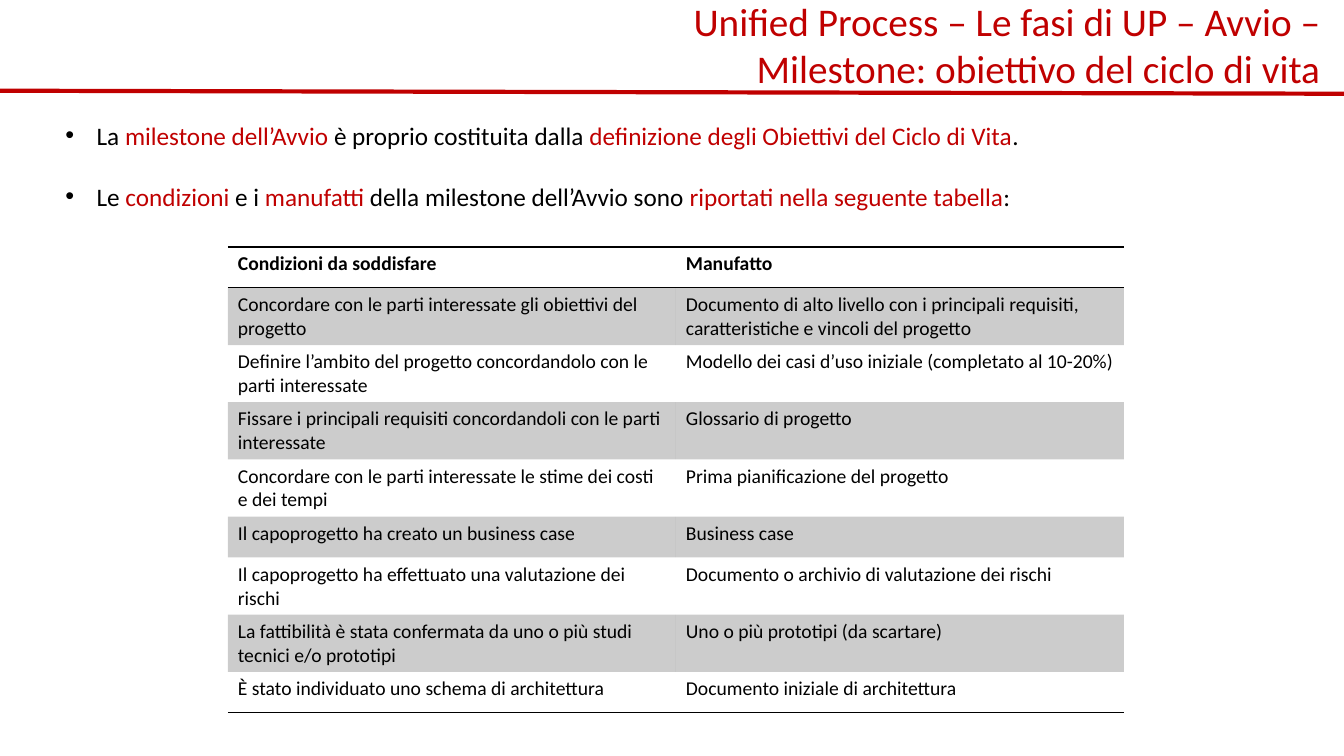
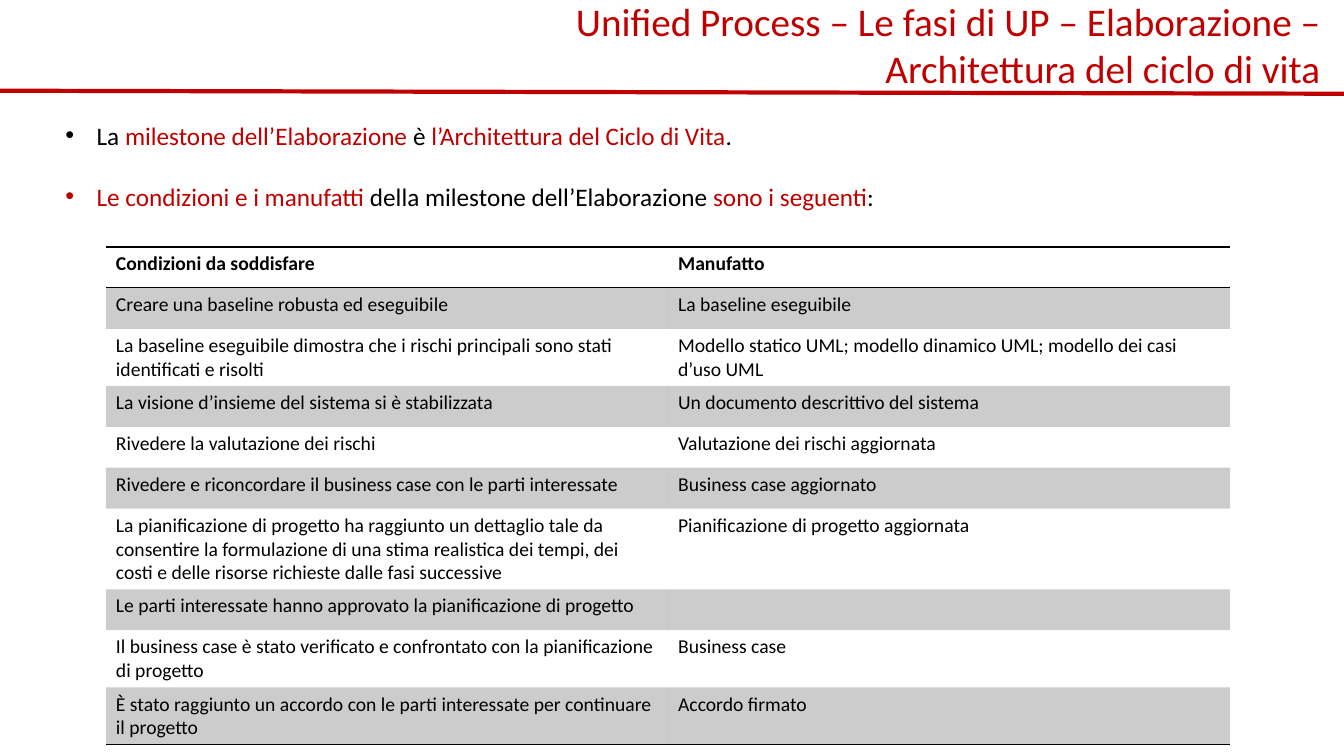
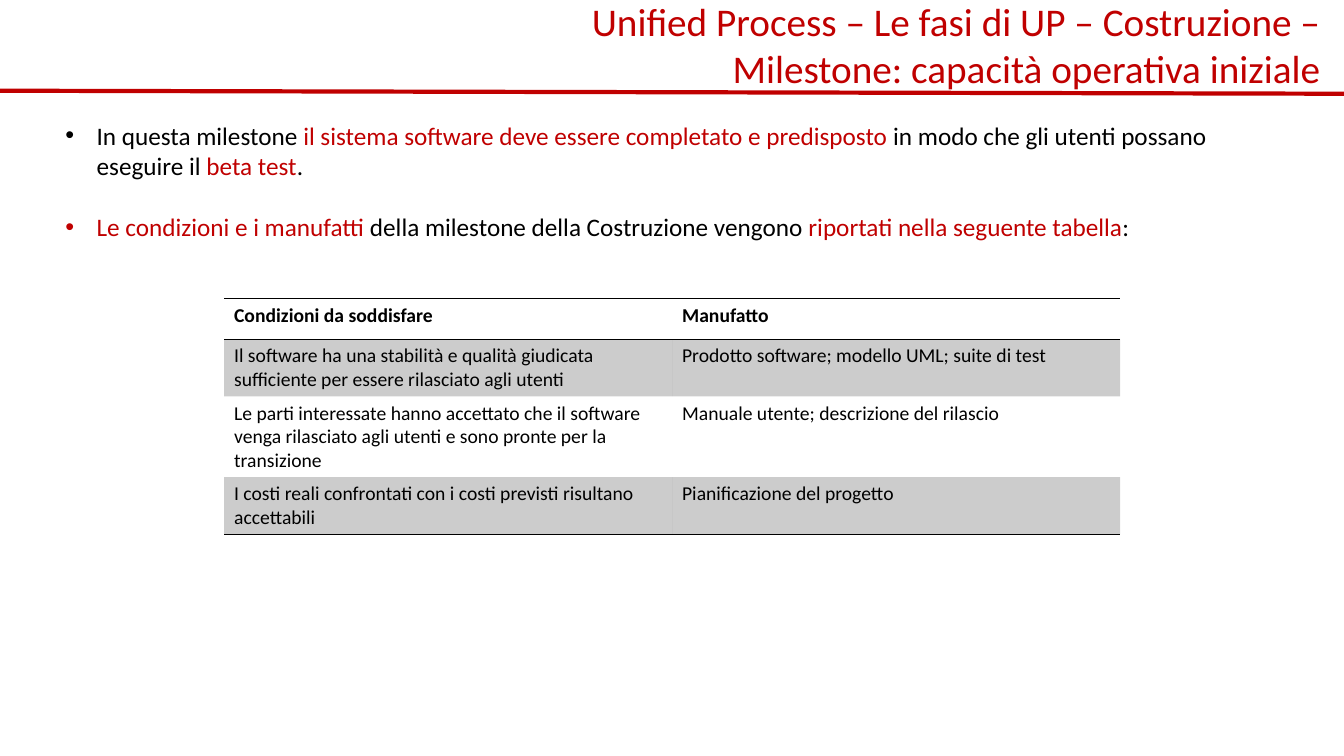
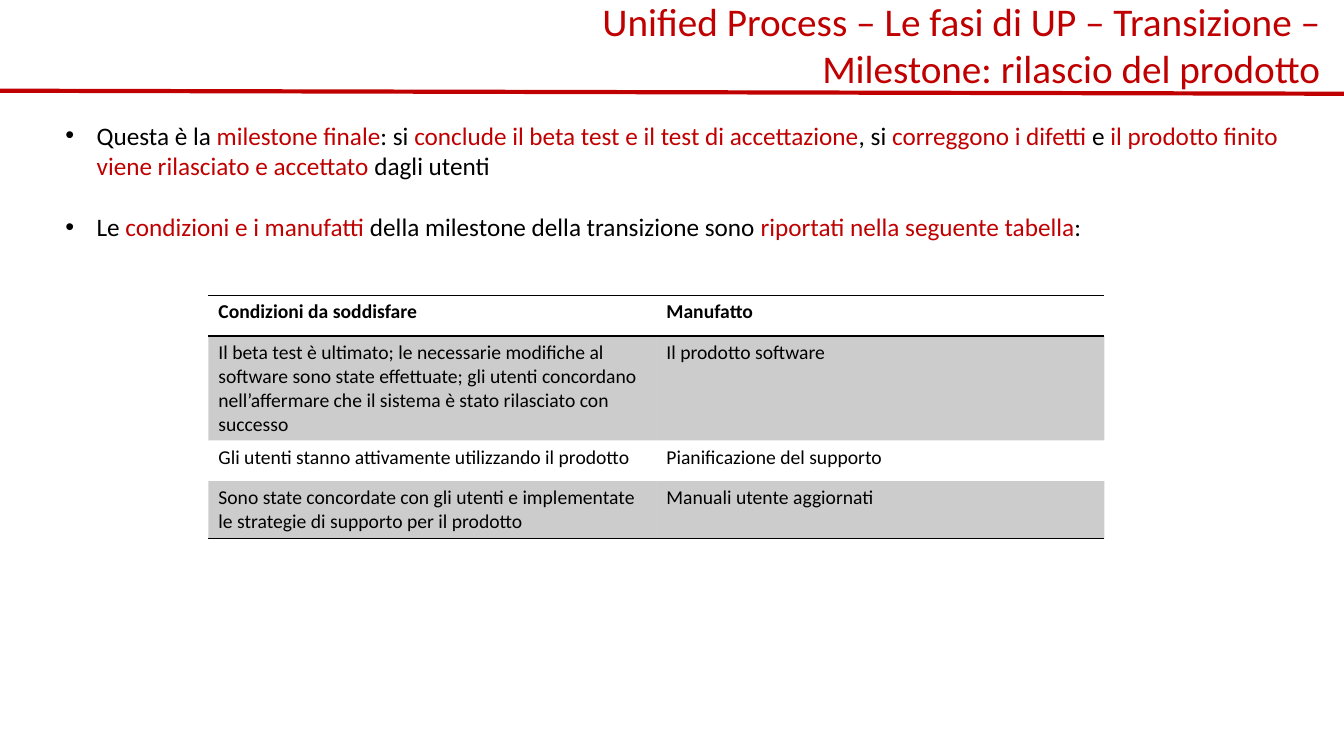
from lxml import etree
from pptx import Presentation
from pptx.dml.color import RGBColor
from pptx.enum.shapes import MSO_CONNECTOR
from pptx.enum.text import MSO_ANCHOR, PP_ALIGN
from pptx.oxml.ns import qn
from pptx.util import Inches, Pt

RED = RGBColor(0xC0, 0x00, 0x00)
BLACK = RGBColor(0x00, 0x00, 0x00)
LINE = MSO_CONNECTOR.STRAIGHT
RIGHT = PP_ALIGN.RIGHT
TOP = MSO_ANCHOR.TOP

FONT = "Calibri"
PLAIN = "{2D5ABB26-0587-4C30-8999-92F81FD0307C}"  # table style without grid
INDENT = Inches(0.31)
ROW = 5.41  # least table row height, percent of the slide
HEAD = ("Condizioni da soddisfare", "Manufatto")


def sub(parent, tag, **attrs):
    return etree.SubElement(parent, qn(tag), attrs)


class Deck:
    """Shared style and current slide; lengths are percent of the slide size."""

    def __init__(self):
        self.prs = Presentation()
        self.prs.slide_width = Inches(13.33)
        self.prs.slide_height = Inches(7.5)
        self.slide = None

    def x(self, share):
        return round(self.prs.slide_width * share / 100)

    def y(self, share):
        return round(self.prs.slide_height * share / 100)

    def area(self, left, top, width, height):
        return self.x(left), self.y(top), self.x(width), self.y(height)

    def add(self):
        self.slide = self.prs.slides.add_slide(self.prs.slide_layouts[6])

    def run(self, para, text, size, color=BLACK, bold=False):
        run = para.add_run()
        run.text = text
        look = {"name": FONT, "size": Pt(size), "bold": bold}
        for key, value in look.items():
            setattr(run.font, key, value)
        run.font.color.rgb = color

    def box(self, area, count):
        """Add a text box and return its empty paragraphs."""
        frame = self.slide.shapes.add_textbox(*self.area(*area)).text_frame
        for key, value in {"word_wrap": True, "vertical_anchor": TOP}.items():
            setattr(frame, key, value)
        for _ in range(count - 1):
            frame.add_paragraph()
        return frame.paragraphs

    def title(self, lines):
        for para, text in zip(self.box((38, -1.07, 60.95, 13.87), len(lines)), lines):
            para.alignment = RIGHT
            self.run(para, text, 28, RED)

    def rule(self):
        line = self.slide.shapes.add_connector(
            LINE, 0, self.y(12), self.x(100), self.y(12.4))
        line.line.color.rgb = RED
        line.line.width = Pt(3)
        sub(line._element.spPr, "a:effectLst")

    def points(self, texts, height):
        """Add bullets; words between asterisks are red."""
        paras = self.box((4.13, 15.2, 92.5, height), len(texts))
        for i, (para, text) in enumerate(zip(paras, texts)):
            props = para._p.get_or_add_pPr()
            props.set("marL", str(INDENT))
            props.set("indent", str(-INDENT))
            sub(props, "a:buFont", typeface="Arial")
            sub(props, "a:buChar", char="•")
            para.space_before = Pt(22 if i else 0)
            for j, part in enumerate(text.split("*")):
                if part:
                    self.run(para, part, 18, RED if j % 2 else BLACK)

    def border(self, props, tags):
        for i, tag in enumerate(tags):
            line = etree.Element(qn(tag), w=str(Pt(1)))
            sub(sub(line, "a:solidFill"), "a:srgbClr", val=str(BLACK))
            props.insert(i, line)

    def cell(self, cell, text, head, band, tags):
        props = cell._tc.get_or_add_tcPr()
        if band:
            cell.fill.solid()
            cell.fill.fore_color.rgb = BLACK
            sub(props.find(".//" + qn("a:srgbClr")), "a:alpha", val="20000")
        else:
            cell.fill.background()
        self.border(props, tags)
        if text:
            self.run(cell.text_frame.paragraphs[0], text, 14, bold=head)

    def table(self, left, top, width, rows):
        rows = [HEAD, *rows]
        last = len(rows) - 1
        frame = self.slide.shapes.add_table(
            len(rows), len(HEAD), *self.area(left, top, width, ROW * len(rows)))
        next(frame._element.iter(qn("a:tableStyleId"))).text = PLAIN
        for r, row in enumerate(rows):
            tags = ("a:lnT", "a:lnB") if r == 0 else ("a:lnB",) if r == last else ()
            for c, text in enumerate(row):
                self.cell(frame.table.cell(r, c), text, r == 0, r % 2 == 1, tags)


# Content: title, bullets, bullet height, table place (left, top, width), rows
SLIDES = [
    dict(
        title=("Unified Process – Le fasi di UP – Avvio –",
               "Milestone: obiettivo del ciclo di vita"),
        points=("La *milestone dell’Avvio *è proprio costituita dalla "
                "*definizione degli Obiettivi del Ciclo di Vita*.",
                "Le *condizioni* e i *manufatti* della milestone dell’Avvio sono "
                "*riportati nella seguente tabella*:"),
        height=17.5,
        place=(16.95, 32.67, 66.67),
        rows=(
            ("Concordare con le parti interessate gli obiettivi del progetto",
             "Documento di alto livello con i principali requisiti, "
             "caratteristiche e vincoli del progetto"),
            ("Definire l’ambito del progetto concordandolo con le parti interessate",
             "Modello dei casi d’uso iniziale (completato al 10-20%)"),
            ("Fissare i principali requisiti concordandoli con le parti interessate",
             "Glossario di progetto"),
            ("Concordare con le parti interessate le stime dei costi e dei tempi",
             "Prima pianificazione del progetto"),
            ("Il capoprogetto ha creato un business case", "Business case"),
            ("Il capoprogetto ha effettuato una valutazione dei rischi",
             "Documento o archivio di valutazione dei rischi"),
            ("La fattibilità è stata confermata da uno o più studi tecnici "
             "e/o prototipi",
             "Uno o più prototipi (da scartare)"),
            ("È stato individuato uno schema di architettura",
             "Documento iniziale di architettura"),
        ),
    ),
    dict(
        title=("Unified Process – Le fasi di UP – Elaborazione –",
               "Architettura del ciclo di vita"),
        points=("La *milestone dell’Elaborazione *è "
                "*l’Architettura del Ciclo di Vita*.",
                "*Le condizioni e i manufatti *della milestone dell’Elaborazione "
                "*sono i seguenti*:"),
        height=17.5,
        place=(7.88, 32.67, 83.65),
        rows=(
            ("Creare una baseline robusta ed eseguibile", "La baseline eseguibile"),
            ("La baseline eseguibile dimostra che i rischi principali sono stati "
             "identificati e risolti",
             "Modello statico UML; modello dinamico UML; modello dei casi d’uso UML"),
            ("La visione d’insieme del sistema si è stabilizzata",
             "Un documento descrittivo del sistema"),
            ("Rivedere la valutazione dei rischi",
             "Valutazione dei rischi aggiornata"),
            ("Rivedere e riconcordare il business case con le parti interessate",
             "Business case aggiornato"),
            ("La pianificazione di progetto ha raggiunto un dettaglio tale da "
             "consentire la formulazione di una stima realistica dei tempi, dei "
             "costi e delle risorse richieste dalle fasi successive",
             "Pianificazione di progetto aggiornata"),
            ("Le parti interessate hanno approvato la pianificazione di progetto",
             ""),
            ("Il business case è stato verificato e confrontato con la "
             "pianificazione di progetto",
             "Business case"),
            ("È stato raggiunto un accordo con le parti interessate per "
             "continuare il progetto",
             "Accordo firmato"),
        ),
    ),
    dict(
        title=("Unified Process – Le fasi di UP – Costruzione –",
               "Milestone: capacità operativa iniziale"),
        points=("In questa milestone *il sistema software deve essere completato "
                "e predisposto *in modo che gli utenti possano eseguire il "
                "*beta test*.",
                "*Le condizioni e i manufatti *della milestone della Costruzione "
                "vengono *riportati nella seguente tabella*:"),
        height=21.6,
        place=(16.67, 39.47, 66.67),
        rows=(
            ("Il software ha una stabilità e qualità giudicata sufficiente per "
             "essere rilasciato agli utenti",
             "Prodotto software; modello UML; suite di test"),
            ("Le parti interessate hanno accettato che il software venga "
             "rilasciato agli utenti e sono pronte per la transizione",
             "Manuale utente; descrizione del rilascio"),
            ("I costi reali confrontati con i costi previsti risultano accettabili",
             "Pianificazione del progetto"),
        ),
    ),
    dict(
        title=("Unified Process – Le fasi di UP – Transizione –",
               "Milestone: rilascio del prodotto"),
        points=("Questa è la *milestone finale*: si *conclude il beta test e il "
                "test di accettazione*, si *correggono i difetti *e *il prodotto "
                "finito viene rilasciato e accettato *dagli utenti",
                "Le *condizioni e i manufatti *della milestone della transizione "
                "sono *riportati nella seguente tabella*:"),
        height=21.6,
        place=(15.5, 39.05, 66.67),
        rows=(
            ("Il beta test è ultimato; le necessarie modifiche al software sono "
             "state effettuate; gli utenti concordano nell’affermare che il "
             "sistema è stato rilasciato con successo",
             "Il prodotto software"),
            ("Gli utenti stanno attivamente utilizzando il prodotto",
             "Pianificazione del supporto"),
            ("Sono state concordate con gli utenti e implementate le strategie "
             "di supporto per il prodotto",
             "Manuali utente aggiornati"),
        ),
    ),
]


def main():
    deck = Deck()
    for page in SLIDES:
        deck.add()
        deck.points(page["points"], page["height"])
        deck.rule()
        deck.title(page["title"])
        deck.table(*page["place"], page["rows"])
    deck.prs.save("out.pptx")


if __name__ == "__main__":
    main()
